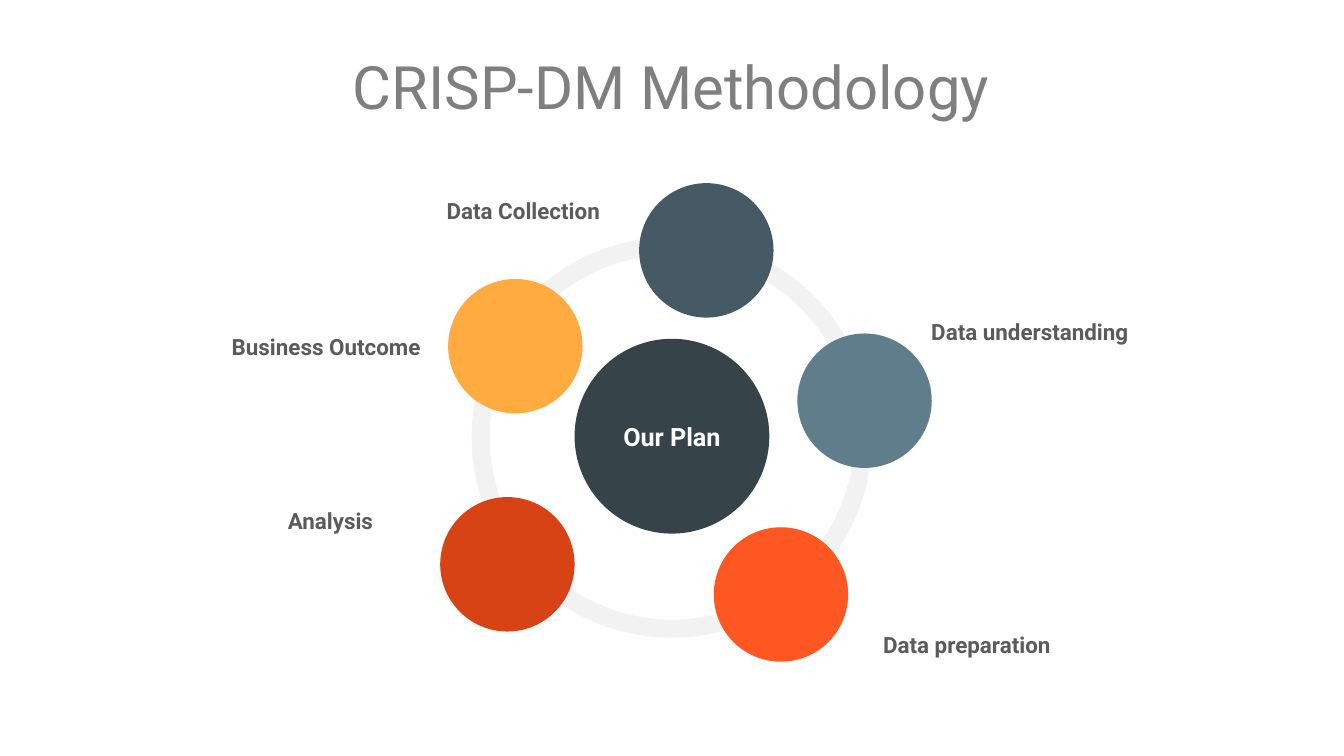
from itertools import pairwise

from pptx import Presentation
from pptx.dml.color import RGBColor
from pptx.enum.shapes import MSO_SHAPE
from pptx.enum.text import MSO_ANCHOR, PP_ALIGN
from pptx.util import Cm, Pt

TITLE = {"size": Pt(32), "bold": False, "color": "7F7F7F"}
LABEL = {"size": Pt(12), "bold": True, "color": "5B5B5B"}
HUB = {"size": Pt(13.5), "bold": True, "color": "FFFFFF"}
FRAME = {
    "margin_left": 0,
    "margin_right": 0,
    "margin_top": 0,
    "margin_bottom": 0,
    "word_wrap": True,
    "vertical_anchor": MSO_ANCHOR.MIDDLE,
}


def rgb(value):
    return RGBColor.from_string(value)


class Deck:
    font = "Roboto"

    def __init__(self, slide):
        self.s = slide

    def set_text(self, sp, text, style, align):
        tf = sp.text_frame
        for name, value in FRAME.items():
            setattr(tf, name, value)
        p = tf.paragraphs[0]
        p.alignment = align
        r = p.add_run()
        r.text = text
        for name, value in {"name": self.font, **style}.items():
            if name == "color":
                r.font.color.rgb = rgb(value)
            else:
                setattr(r.font, name, value)

    def title(self, text, x, y, w, h):
        sp = self.s.shapes.title
        sp.left, sp.top, sp.width, sp.height = Cm(x), Cm(y), Cm(w), Cm(h)
        self.set_text(sp, text, TITLE, PP_ALIGN.CENTER)

    def label(self, text, x, y, align):
        sp = self.s.shapes.add_textbox(Cm(x), Cm(y), Cm(4.86), Cm(0.48))
        self.set_text(sp, text, LABEL, align)

    def round(self, kind, cx, cy, d, color):
        sp = self.s.shapes.add_shape(
            kind, Cm(cx - d / 2), Cm(cy - d / 2), Cm(d), Cm(d)
        )
        sp.shadow.inherit = False
        sp.fill.solid()
        sp.fill.fore_color.rgb = rgb(color)
        sp.line.fill.background()
        return sp

    def circle(self, cx, cy, d, color):
        return self.round(MSO_SHAPE.OVAL, cx, cy, d, color)

    def arc(self, cx, cy, d, start, end, color):
        sp = self.round(MSO_SHAPE.BLOCK_ARC, cx, cy, d, color)
        sp.adjustments[0] = start * 0.6
        sp.adjustments[1] = end * 0.6
        sp.adjustments[2] = 0.045


def main():
    prs = Presentation()
    prs.slide_width, prs.slide_height = Cm(25.4), Cm(14.28)
    deck = Deck(prs.slides.add_slide(prs.slide_layouts[5]))

    deck.title("CRISP-DM Methodology", 1.07, 0.94, 23.24, 1.37)

    hub = deck.circle(12.7, 8.24, 3.68, "364349")
    deck.set_text(hub, "Our Plan", HUB, PP_ALIGN.CENTER)

    for start, end in pairwise([18, 54, 90, 126, 162, 198, 18]):
        deck.arc(12.7, 8.26, 7.57, start, end, "F2F2F2")

    stages = [
        ("Data Collection", 6.48, 3.73, PP_ALIGN.RIGHT, 13.35, 4.73, "455A64"),
        ("Data understanding", 17.6, 6.02, PP_ALIGN.LEFT, 16.34, 7.57, "607D8B"),
        ("Data preparation", 16.69, 11.94, PP_ALIGN.LEFT, 14.76, 11.23, "FF5722"),
        ("Analysis", 5.44, 9.6, PP_ALIGN.LEFT, 9.59, 10.66, "D84315"),
        ("Business Outcome", 3.09, 6.3, PP_ALIGN.RIGHT, 9.74, 6.54, "FFAB40"),
    ]
    for text, x, y, align, cx, cy, color in stages:
        deck.label(text, x, y, align)
        deck.circle(cx, cy, 2.54, color)

    prs.save("out.pptx")


if __name__ == "__main__":
    main()
